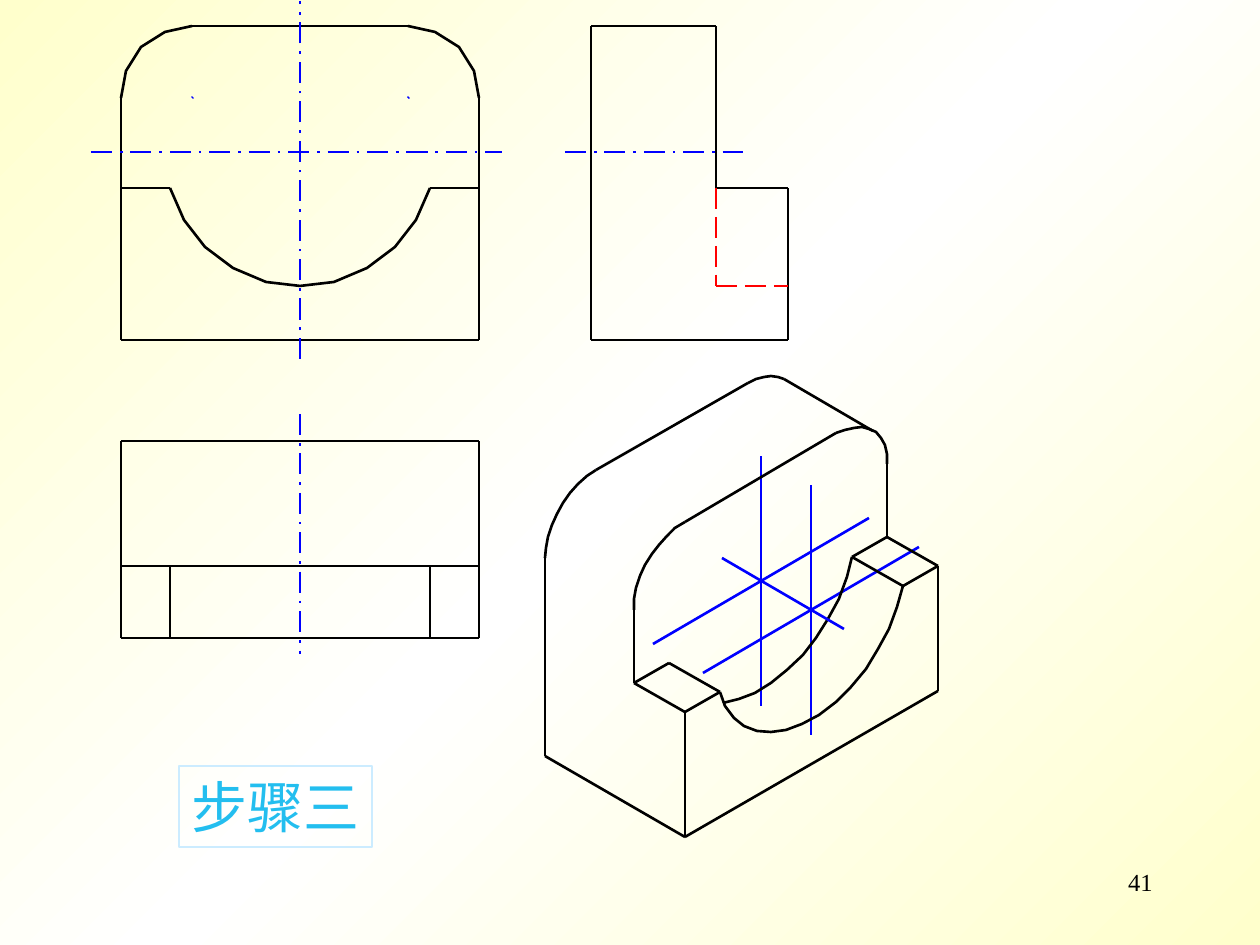
from lxml import etree
from pptx import Presentation
from pptx.dml.color import RGBColor
from pptx.enum.dml import MSO_LINE_DASH_STYLE as Dash
from pptx.enum.shapes import MSO_CONNECTOR, MSO_SHAPE
from pptx.enum.text import MSO_ANCHOR, MSO_AUTO_SIZE, PP_ALIGN
from pptx.oxml import parse_xml
from pptx.oxml.ns import nsdecls, qn
from pptx.util import Pt

PX = 914400 / 126
BLACK = RGBColor(0x00, 0x00, 0x00)
BLUE = RGBColor(0x00, 0x00, 0xFF)
RED = RGBColor(0xFF, 0x00, 0x00)
SKY = RGBColor(0x23, 0xBE, 0xEF)
PALE_BLUE = RGBColor(0xCC, 0xEC, 0xFF)
FONT = "Times New Roman"
BACKGROUND_STOPS = [(0, "FFFFCC"), (50, "FFFFFF"), (100, "FFFFCC")]

# Shared coordinates of the three orthographic views
LEFT, NOTCH_LEFT, ARC_LEFT, MIDDLE = 121, 170, 192, 300
ARC_RIGHT, NOTCH_RIGHT, RIGHT = (2 * MIDDLE - x for x in (ARC_LEFT, NOTCH_LEFT, LEFT))
TOP, ARC_Y, AXIS_Y, STEP_Y, NOTCH_Y, BASE_Y = 26, 98, 152, 188, 286, 340
PLAN_BACK, PLAN_STEP, PLAN_FRONT = 441, 566, 638
SIDE_BACK, SIDE_STEP, SIDE_FRONT = 591, 716, 788

# Each chain is a run of points joined by straight edges
FRONT_EDGES = [
    [(NOTCH_RIGHT, STEP_Y), (RIGHT, STEP_Y), (RIGHT, BASE_Y), (LEFT, BASE_Y),
     (LEFT, STEP_Y), (NOTCH_LEFT, STEP_Y)],
    [(LEFT, STEP_Y), (LEFT, ARC_Y)],
    [(ARC_LEFT, TOP), (ARC_RIGHT, TOP)],
    [(RIGHT, ARC_Y), (RIGHT, STEP_Y)],
]
PLAN_EDGES = [
    [(x, y) for x in (LEFT, ARC_LEFT, ARC_RIGHT, RIGHT)] for y in (PLAN_BACK, PLAN_STEP)
] + [
    [(x, PLAN_FRONT) for x in (LEFT, NOTCH_LEFT, NOTCH_RIGHT, RIGHT)],
] + [
    [(x, PLAN_BACK), (x, PLAN_STEP), (x, PLAN_FRONT)] for x in (LEFT, RIGHT)
] + [
    [(x, PLAN_STEP), (x, PLAN_FRONT)] for x in (NOTCH_LEFT, NOTCH_RIGHT)
]
SIDE_EDGES = [
    [(SIDE_STEP, STEP_Y), (SIDE_STEP, ARC_Y), (SIDE_STEP, TOP), (SIDE_BACK, TOP),
     (SIDE_BACK, ARC_Y), (SIDE_BACK, BASE_Y), (SIDE_FRONT, BASE_Y),
     (SIDE_FRONT, STEP_Y), (SIDE_STEP, STEP_Y)],
]
HIDDEN_EDGES = [[(SIDE_STEP, STEP_Y), (SIDE_STEP, NOTCH_Y), (SIDE_FRONT, NOTCH_Y)]]
SOLID_EDGES = [
    [(887, 464), (887, 537), (852, 557), (903, 586), (938, 566), (887, 537)],
    [(938, 566), (938, 691), (685, 837), (545, 756), (545, 558)],
    [(634, 610), (634, 683), (669, 663), (720, 692), (685, 712), (634, 683)],
    [(685, 712), (685, 837)],
    [(685, 522), (836, 433)],
    [(596, 470), (748, 383)],
    [(784, 379), (873, 431)],
]
AXES = [
    [(MIDDLE, 359), (MIDDLE, 1)],
    [(91, AXIS_Y), (502, AXIS_Y)],
    [(MIDDLE, 414), (MIDDLE, 654)],
    [(565, AXIS_Y), (743, AXIS_Y)],
]

CORNER = [(192, 26), (165, 32), (141, 47), (126, 71), (121, 98)]
HALF_NOTCH = [(170, 188), (184, 220), (205, 247), (233, 268), (266, 282)]
SOLID_CURVES = [
    [(685, 522), (675, 528), (667, 536), (659, 545), (652, 554), (645, 565),
     (640, 576), (636, 588), (634, 599), (634, 610)],
    [(596, 470), (587, 476), (578, 484), (570, 493), (563, 503), (557, 514),
     (552, 525), (548, 537), (546, 548), (545, 558)],
    [(784, 379), (778, 377), (771, 376), (764, 377), (756, 379), (748, 383)],
    [(887, 464), (887, 454), (885, 445), (881, 438), (876, 432), (869, 429),
     (862, 427), (854, 428), (845, 430), (836, 433)],
    [(720, 692), (725, 706), (734, 718), (744, 726), (757, 731), (771, 732),
     (786, 730), (802, 724), (819, 715), (836, 702), (851, 687), (866, 669),
     (878, 649), (889, 629), (897, 607), (903, 586)],
    [(723, 703), (739, 699), (755, 693), (771, 683), (787, 670), (803, 655),
     (816, 638), (828, 619), (839, 599), (847, 577), (852, 557)],
]

# Centre crosses of the pictorial view
CROSS_CENTRES = [(811, 610), (761, 581)]
CROSS_ARMS = [(108, -63), (-108, 63), (0, 125), (0, -125)]
CROSS_LINK = [(722, 558), (844, 629)]


def mirror(points):
    return [(2 * MIDDLE - x, y) for x, y in points]


def emu(*lengths):
    return [round(length * PX) for length in lengths]


def style_line(shape, color, dash=None):
    shape.line.color.rgb = color
    shape.line.width = Pt(1.5)
    if dash is not None:
        shape.line.dash_style = dash


def draw_chain(slide, points, color=BLACK, dash=None):
    for start, end in zip(points, points[1:]):
        connector = slide.shapes.add_connector(MSO_CONNECTOR.STRAIGHT, *emu(*start, *end))
        style_line(connector, color, dash)
        etree.SubElement(connector._element.spPr, qn("a:effectLst"))


def draw_curve(slide, points):
    builder = slide.shapes.build_freeform(*points[0], scale=PX)
    builder.add_line_segments(points[1:], close=False)
    curve = builder.convert_to_shape()
    curve.shadow.inherit = False
    curve.fill.background()
    style_line(curve, BLACK)


def fill_background(slide):
    stops = "".join(
        f'<a:gs pos="{position * 1000}"><a:srgbClr val="{color}"/></a:gs>'
        for position, color in BACKGROUND_STOPS)
    slide._element.cSld.insert(0, parse_xml(
        f'<p:bg {nsdecls("p", "a")}><p:bgPr><a:gradFill rotWithShape="0">'
        f'<a:gsLst>{stops}</a:gsLst><a:lin ang="2700000" scaled="1"/>'
        '</a:gradFill><a:effectLst/></p:bgPr></p:bg>'))


def write_text(shape, text, size, color, alignment):
    paragraph = shape.text_frame.paragraphs[0]
    paragraph.text = text
    paragraph.alignment = alignment
    paragraph.font.name = FONT
    paragraph.font.size = Pt(size)
    paragraph.font.color.rgb = color


def add_labels(slide):
    number = slide.shapes.add_textbox(*emu(903, 861, 262, 63))
    number.text_frame.word_wrap = True
    write_text(number, "41", 14, BLACK, PP_ALIGN.RIGHT)

    title = slide.shapes.add_shape(MSO_SHAPE.RECTANGLE, *emu(179, 766, 193, 81))
    title.shadow.inherit = False
    title.fill.background()
    title.line.color.rgb = PALE_BLUE
    title.line.width = Pt(0)
    frame = title.text_frame
    frame.word_wrap = False
    frame.auto_size = MSO_AUTO_SIZE.SHAPE_TO_FIT_TEXT
    frame.vertical_anchor = MSO_ANCHOR.TOP
    write_text(title, "步骤三", 32, SKY, PP_ALIGN.CENTER)


def main():
    presentation = Presentation()
    presentation.slide_width, presentation.slide_height = emu(1260, 945)
    slide = presentation.slides.add_slide(presentation.slide_layouts[6])
    fill_background(slide)

    for x in (ARC_LEFT, ARC_RIGHT):
        draw_chain(slide, [(x, ARC_Y), (x + 1, ARC_Y - 1)], BLUE)
    for x, y in CROSS_CENTRES:
        for dx, dy in CROSS_ARMS:
            draw_chain(slide, [(x, y), (x + dx, y + dy)], BLUE)

    for chain in FRONT_EDGES + PLAN_EDGES + SIDE_EDGES + SOLID_EDGES:
        draw_chain(slide, chain)
    notch = HALF_NOTCH + [(MIDDLE, NOTCH_Y)] + mirror(HALF_NOTCH)[::-1]
    for curve in [CORNER, mirror(CORNER), notch] + SOLID_CURVES:
        draw_curve(slide, curve)
    for chain in HIDDEN_EDGES:
        draw_chain(slide, chain, RED, Dash.LONG_DASH)
    draw_chain(slide, CROSS_LINK, BLUE)
    for axis in AXES:
        draw_chain(slide, axis, BLUE, Dash.LONG_DASH_DOT)

    add_labels(slide)
    presentation.save("out.pptx")


if __name__ == "__main__":
    main()
